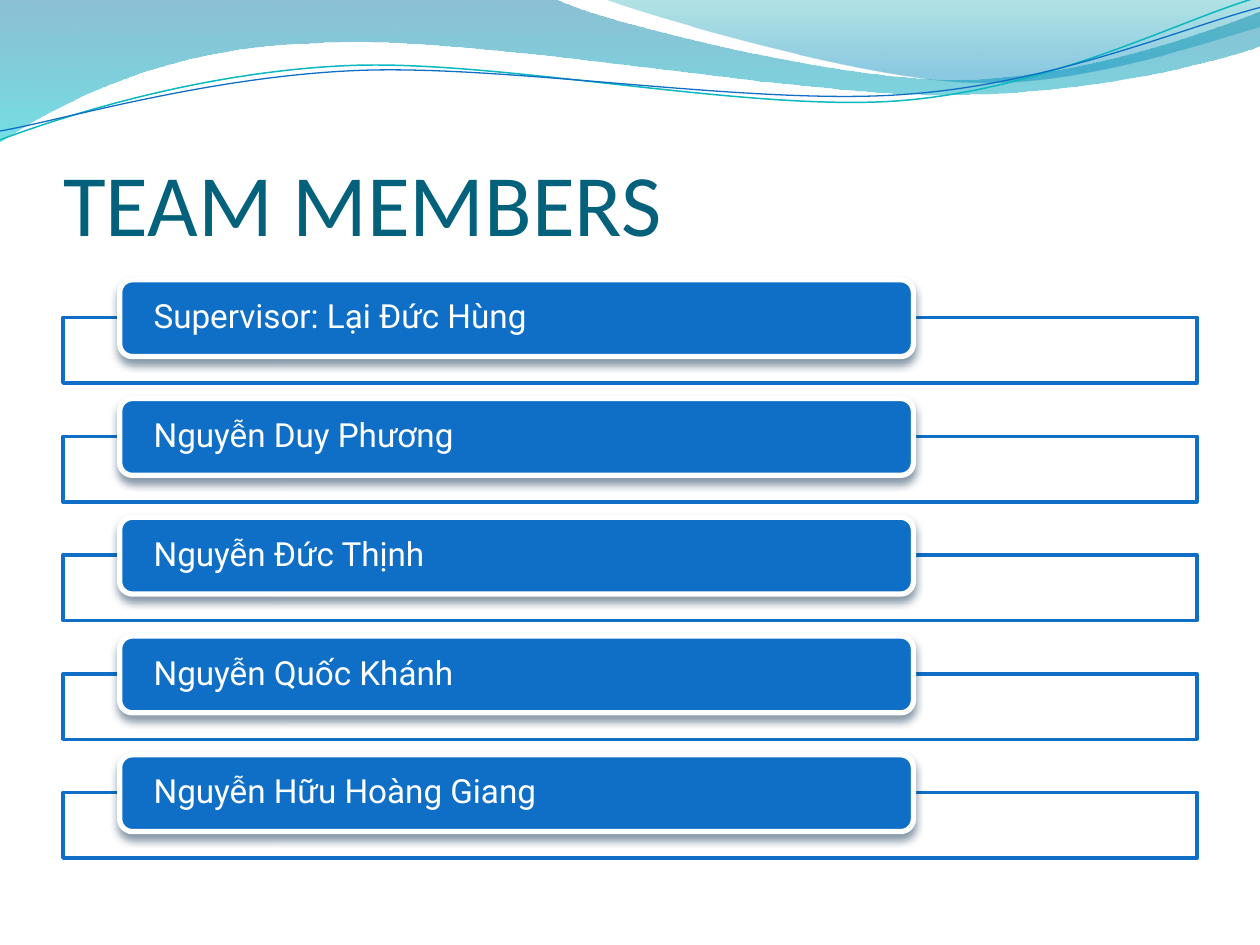
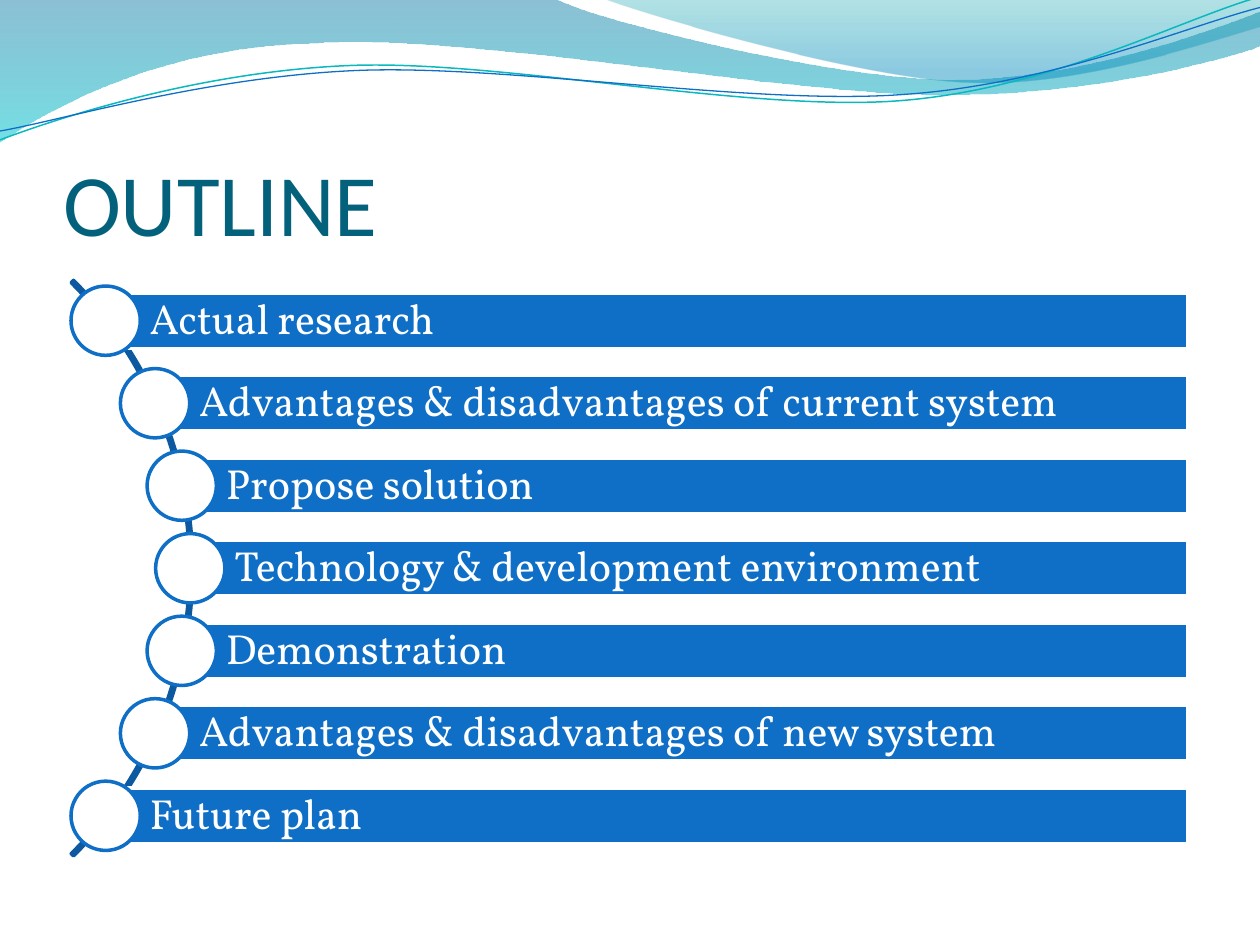
from dataclasses import dataclass
from math import cos, radians, sin, sqrt

from lxml.etree import SubElement
from pptx import Presentation
from pptx.dml.color import RGBColor
from pptx.enum.shapes import MSO_SHAPE as Preset
from pptx.enum.text import MSO_ANCHOR as Anchor, MSO_AUTO_SIZE as AutoSize, PP_ALIGN as Align
from pptx.oxml.ns import qn
from pptx.shapes.autoshape import Shape
from pptx.slide import Slide, SlideLayout
from pptx.text.text import TextFrame
from pptx.util import Inches, Pt

COLORS = {
    "white": "FFFFFF",
    "blue": "0F6FC6",
    "arc": "0C599F",
    "title": "04617B",
    "shadow": "042747",
    "teal line": "0AB8BF",
    "deep blue": "0074A1",
    "cyan": "00C6CF",
    "sea green": "00A1A9",
    "sky": "008BBF",
}

Point = tuple[float, float]


@dataclass(frozen=True)
class TextStyle:
    font: str
    size: float
    color: str
    insets: tuple[float, float, float, float]
    anchor: Anchor = Anchor.MIDDLE
    line_spacing: float = 0.9


@dataclass(frozen=True)
class Stop:
    position: float
    color: str
    opacity: int


@dataclass(frozen=True)
class Wave:
    """A start point, then lines (one point) and Bezier curves (three points)."""
    start: Point
    segments: list[list[Point]]
    gradient: tuple[Stop, ...] = ()
    line: str = ""
    width: float = 0
    tilt: float = 0
    center: Point = (0, 0)


TITLE_STYLE = TextStyle("Calibri", 50, "title", (0, 0.05, 0, 0), Anchor.BOTTOM, 1)
MEMBER_STYLE = TextStyle("Roboto", 19, "white", (0.24, 0, 0.24, 0))
TOPIC_STYLE = TextStyle("Vollkorn", 24, "white", (0.35, 0.07, 0.07, 0.07))

WAVES = [
    Wave((0, 0), [
        [(4.4, -0.01)],
        [(4.76, 0.17), (6.64, 0.63), (7.58, 0.63)],
        [(8.53, 0.63), (9.58, 0.26), (10, 0.09)],
        [(10.01, 0.36)],
        [(9.83, 0.44), (8.7, 0.76), (7.46, 0.75)],
        [(6.22, 0.75), (3.82, 0.28), (2.57, 0.34)],
        [(1.29, 0.36), (0.46, 0.83), (-0.01, 1.13)],
        [(0, 0)],
    ], gradient=(Stop(0, "deep blue", 45), Stop(1, "cyan", 55))),
    Wave((4.79, -0.01), [
        [(5.09, 0.11), (6.82, 0.62), (7.69, 0.65)],
        [(8.56, 0.69), (9.61, 0.32), (10, 0.21)],
        [(10, 0)],
        [(4.79, -0.01)],
    ], gradient=(Stop(0, "sea green", 30), Stop(0.8, "sky", 45))),
    Wave((0, 1.11), [
        [(0.48, 0.93), (1.58, 0.57), (2.77, 0.52)],
        [(3.95, 0.47), (5.93, 0.89), (7.13, 0.8)],
        [(8.33, 0.71), (9.38, 0.15), (9.98, -0.02)],
    ], line="teal line", width=0.85, tilt=-2.7, center=(4.99, 0.58)),
    Wave((0, 1.04), [
        [(0.47, 0.96), (1.64, 0.61), (2.83, 0.56)],
        [(4.03, 0.51), (5.97, 0.84), (7.17, 0.75)],
        [(8.36, 0.67), (9.41, 0.21), (10, 0.06)],
    ], line="blue", width=0.75, tilt=-2.7, center=(5, 0.59)),
]

MEMBERS = [
    "Supervisor: Lại Đức Hùng",
    "Nguyễn Duy Phương",
    "Nguyễn Đức Thịnh",
    "Nguyễn Quốc Khánh",
    "Nguyễn Hữu Hoàng Giang",
]

TOPICS = [
    "Actual research",
    "Advantages & disadvantages of current system",
    "Propose solution",
    "Technology & development environment",
    "Demonstration",
    "Advantages & disadvantages of new system",
    "Future plan",
]


def rgb(name: str) -> RGBColor:
    return RGBColor.from_string(COLORS[name])


def paint(shape: Shape, fill: str = "", line: str = "", width: float = 0) -> None:
    """Set fill and line; an empty colour name means none."""
    shape.shadow.inherit = False
    if fill:
        shape.fill.solid()
        shape.fill.fore_color.rgb = rgb(fill)
    else:
        shape.fill.background()
    if line:
        shape.line.color.rgb = rgb(line)
        shape.line.width = Pt(width)
    else:
        shape.line.fill.background()


def set_opacity(shape: Shape, *percents: int) -> None:
    """Give the fill colours of a shape, in order, their opacity."""
    for color, percent in zip(shape.element.spPr.iter(qn("a:srgbClr")), percents):
        SubElement(color, qn("a:alpha"), val=str(percent * 1000))


def add_drop_shadow(shape: Shape) -> None:
    effects = shape.element.spPr.find(qn("a:effectLst"))
    shadow = SubElement(effects, qn("a:outerShdw"), blurRad=str(Pt(4.5)),
                        dist=str(Pt(3)), dir="5400000", rotWithShape="0")
    color = SubElement(shadow, qn("a:srgbClr"), val=COLORS["shadow"])
    SubElement(color, qn("a:alpha"), val="48000")


def add_preset(slide: Slide, preset: Preset, left: float, top: float,
               width: float, height: float) -> Shape:
    return slide.shapes.add_shape(preset, Inches(left), Inches(top),
                                  Inches(width), Inches(height))


def write(frame: TextFrame, text: str, style: TextStyle) -> None:
    frame.word_wrap = True
    frame.auto_size = AutoSize.NONE
    frame.vertical_anchor = style.anchor
    (frame.margin_left, frame.margin_top,
     frame.margin_right, frame.margin_bottom) = map(Inches, style.insets)
    paragraph = frame.paragraphs[0]
    paragraph.alignment = Align.LEFT
    paragraph.line_spacing = style.line_spacing
    run = paragraph.add_run()
    run.text = text
    run.font.name = style.font
    run.font.size = Pt(style.size)
    run.font.color.rgb = rgb(style.color)


def level(point: Point, wave: Wave) -> tuple[int, int]:
    """Undo the tilt of a wave, which the rotation of its shape brings back."""
    angle = radians(-wave.tilt)
    dx, dy = point[0] - wave.center[0], point[1] - wave.center[1]
    return (Inches(wave.center[0] + dx * cos(angle) - dy * sin(angle)),
            Inches(wave.center[1] + dx * sin(angle) + dy * cos(angle)))


def bend(shape: Shape, segments: list[list[Point]]) -> None:
    """Join the straight steps of each three-point segment into one Bezier curve."""
    outline = next(shape.element.iter(qn("a:path")))
    steps = iter(outline.findall(qn("a:lnTo")))
    for segment in segments:
        parts = [next(steps) for _ in segment]
        if len(parts) == 1:
            continue
        curve = SubElement(outline, qn("a:cubicBezTo"))
        parts[0].addprevious(curve)
        for part in parts:
            curve.append(part[0])
            outline.remove(part)


def add_wave(slide: Slide, wave: Wave) -> Shape:
    builder = slide.shapes.build_freeform(*level(wave.start, wave))
    builder.add_line_segments(
        [level(point, wave) for segment in wave.segments for point in segment],
        close=bool(wave.gradient))
    band = builder.convert_to_shape()
    bend(band, wave.segments)
    band.rotation = wave.tilt
    paint(band, line=wave.line, width=wave.width)
    if wave.gradient:
        band.fill.gradient()
        band.fill.gradient_angle = 270
        for target, stop in zip(band.fill.gradient_stops, wave.gradient):
            target.position = stop.position
            target.color.rgb = rgb(stop.color)
        set_opacity(band, *(stop.opacity for stop in wave.gradient))
    return band


def decorate_layout(layout: SlideLayout, slide: Slide) -> None:
    """Draw the waves on a slide, then move them behind everything on its layout."""
    for position, wave in enumerate(WAVES, start=2):
        layout.shapes.element.insert(position, add_wave(slide, wave).element)


def set_title(slide: Slide, text: str) -> None:
    title = slide.shapes.title
    title.left, title.top = Inches(0.5), Inches(0.77)
    title.width, title.height = Inches(9), Inches(1.25)
    write(title.text_frame, text, TITLE_STYLE)


def fill_team(slide: Slide) -> None:
    set_title(slide, "TEAM MEMBERS")
    first_top, last_top = 2.22, 5.99
    pitch = (last_top - first_top) / (len(MEMBERS) - 1)
    for row, member in enumerate(MEMBERS):
        top = first_top + row * pitch
        frame = add_preset(slide, Preset.RECTANGLE, 0.5, top + 0.3, 9, 0.52)
        paint(frame, "white", "blue", 2)
        set_opacity(frame, 90)
        card = add_preset(slide, Preset.ROUNDED_RECTANGLE, 0.95, top, 6.3, 0.61)
        paint(card, "blue", "white", 3)
        add_drop_shadow(card)
        write(card.text_frame, member, MEMBER_STYLE)


def fill_outline(slide: Slide) -> None:
    set_title(slide, "OUTLINE")
    center_x, center_y, radius = -1.7, 4.51, 3.23
    arc = add_preset(slide, Preset.BLOCK_ARC, center_x - radius, center_y - radius,
                     2 * radius, 2 * radius)
    for index, value in enumerate((189, 27, 0.004)):
        arc.adjustments[index] = value
    paint(arc, line="arc", width=2)

    dots_height, dot_radius, dot = 3.93, 3.21, 0.55
    bar_height, bar_right = 0.44, 9.43
    pitch = dots_height / (len(TOPICS) - 1)
    for row, topic in enumerate(TOPICS):
        offset = row * pitch - dots_height / 2
        x = center_x + sqrt(dot_radius ** 2 - offset ** 2)
        y = center_y + offset
        bar = add_preset(slide, Preset.RECTANGLE, x, y - bar_height / 2,
                         bar_right - x, bar_height)
        paint(bar, "blue", "white", 2)
        write(bar.text_frame, topic, TOPIC_STYLE)
        bullet = add_preset(slide, Preset.OVAL, x - dot / 2, y - dot / 2, dot, dot)
        paint(bullet, "white", "blue", 2)


def main() -> None:
    deck = Presentation()
    deck.slide_width, deck.slide_height = Inches(10), Inches(7.5)
    title_only = deck.slide_layouts[5]
    team = deck.slides.add_slide(title_only)
    outline = deck.slides.add_slide(title_only)
    decorate_layout(title_only, team)
    fill_team(team)
    fill_outline(outline)
    deck.save("out.pptx")


if __name__ == "__main__":
    main()
